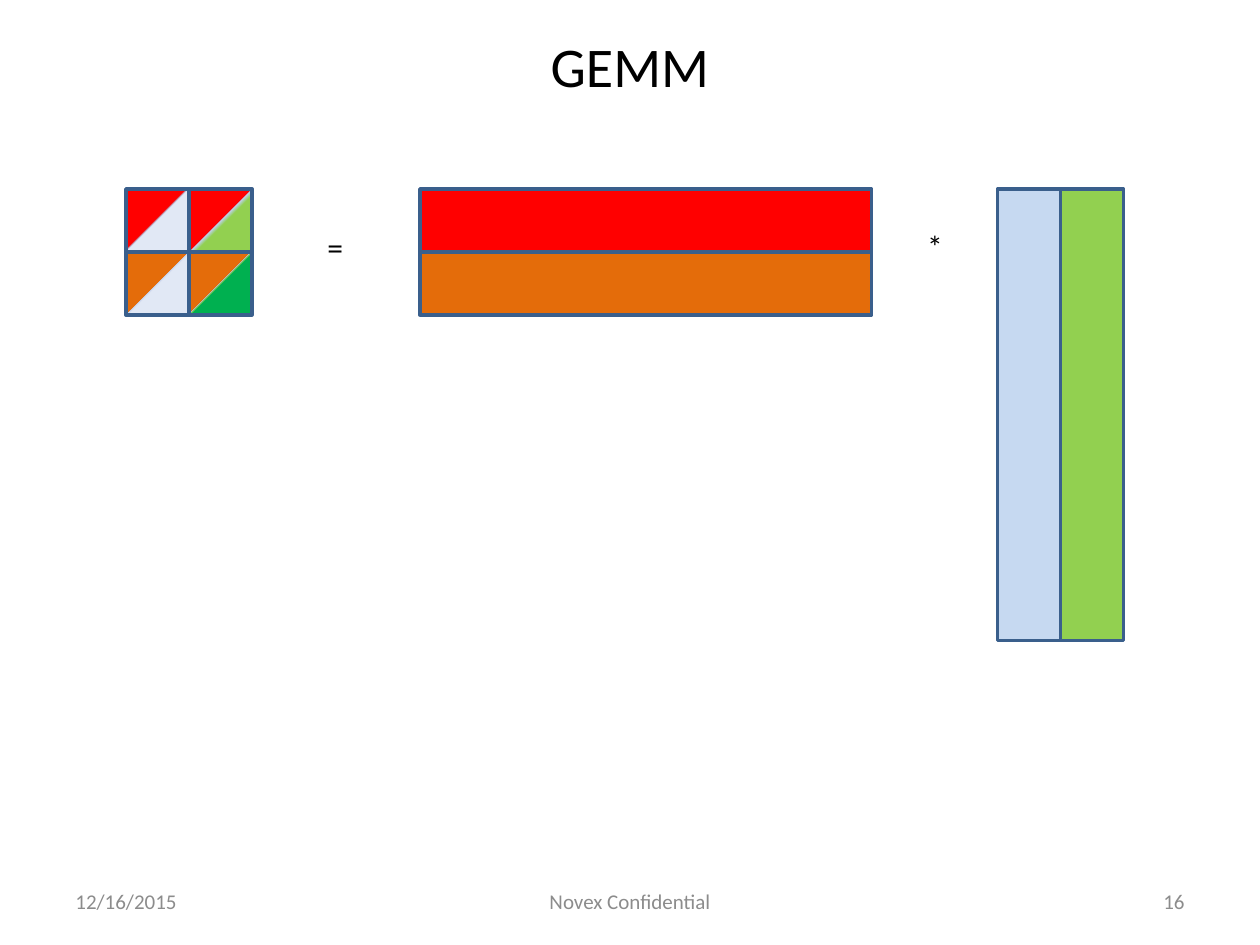
from lxml import etree
from pptx import Presentation
from pptx.dml.color import RGBColor
from pptx.enum.shapes import MSO_SHAPE as Preset
from pptx.enum.text import MSO_ANCHOR as Anchor, MSO_AUTO_SIZE as Fit, PP_ALIGN as Align
from pptx.oxml.ns import qn
from pptx.util import Pt

COLORS = {
    "red": "FF0000", "orange": "E46C0A", "lime": "92D050", "green": "00B050",
    "sky": "C6D9F1", "mist": "C2D1ED", "pale": "E1E8F5", "teal": "61C19F",
    "jade": "31B978", "outline": "3A5F8C", "ink": "000000", "grey": "8C8C8C",
}
CELL = 36
TOP = 108
RESULT_LEFT = 72
BAND_LEFT = 240
BAND_LENGTH = 258
COLUMN_LEFT = 570

RESULT_CELLS = [
    (0, 0, [(48, "red"), (50, "mist"), (50, "pale")]),
    (1, 0, [(50, "orange"), (50, "mist"), (52, "pale")]),
    (0, 1, [(50, "red"), (51, "mist"), (56, "lime")]),
    (1, 1, [(49, "orange"), (50, "mist"), (50, "teal"),
            (51, "lime"), (51, "jade"), (51, "green")]),
]
FOOTER = [
    ("12/16/2015", 36, 168, Align.LEFT),
    ("Novex Confidential", 246, 228, Align.CENTER),
    ("16", 516, 168, Align.RIGHT),
]


def rgb(name):
    return RGBColor.from_string(COLORS[name])


def apply(target, values):
    for name, value in values.items():
        setattr(target, name, value)


def add_label(slide, text, box, size, color="ink", align=Align.LEFT, **frame_values):
    frame = slide.shapes.add_textbox(*map(Pt, box)).text_frame
    apply(frame, {"word_wrap": True, "vertical_anchor": Anchor.MIDDLE, **frame_values})
    line = frame.paragraphs[0]
    line.alignment = align
    run = line.add_run()
    run.text = text
    apply(run.font, {"name": "Calibri", "size": Pt(size)})
    run.font.color.rgb = rgb(color)


def add_operator(slide, sign, left, top):
    add_label(slide, sign, (left, top, 24, 29), 18, word_wrap=False,
              vertical_anchor=Anchor.TOP, auto_size=Fit.SHAPE_TO_FIT_TEXT)


def add_block(slide, left, top, width, height, rotation=0):
    block = slide.shapes.add_shape(Preset.RECTANGLE, *map(Pt, (left, top, width, height)))
    block.shadow.inherit = False
    block.rotation = rotation
    block.line.color.rgb = rgb("outline")
    block.line.width = Pt(2)
    return block


def fill_solid(block, color):
    block.fill.solid()
    block.fill.fore_color.rgb = rgb(color)


def fill_split(block, stops):
    block.fill.gradient()
    block.fill.gradient_angle = 315
    stop_list = next(block.element.iter(qn("a:gsLst")))
    for old_stop in list(stop_list):
        stop_list.remove(old_stop)
    for percent, color in stops:
        stop = etree.SubElement(stop_list, qn("a:gs"), pos=str(percent * 1000))
        etree.SubElement(stop, qn("a:srgbClr"), val=COLORS[color])


def add_result(slide):
    for row, column, stops in RESULT_CELLS:
        cell = add_block(slide, RESULT_LEFT + column * CELL, TOP + row * CELL, CELL, CELL)
        fill_split(cell, stops)


def add_row_bands(slide):
    for row, color in enumerate(("red", "orange")):
        fill_solid(add_block(slide, BAND_LEFT, TOP + row * CELL, BAND_LENGTH, CELL), color)


def add_column_bands(slide):
    shift = (BAND_LENGTH - CELL) / 2
    for column, color in ((1, "lime"), (0, "sky")):
        left = COLUMN_LEFT + column * CELL - shift
        fill_solid(add_block(slide, left, TOP + shift, BAND_LENGTH, CELL, 90), color)


def main():
    deck = Presentation()
    apply(deck, {"slide_width": Pt(720), "slide_height": Pt(540)})
    slide = deck.slides.add_slide(deck.slide_layouts[6])
    add_label(slide, "GEMM", (36, 12, 648, 50.4), 32, align=Align.CENTER)
    for text, left, width, align in FOOTER:
        add_label(slide, text, (left, 500.5, width, 28.75), 12, "grey", align)
    add_result(slide)
    add_operator(slide, "=", 180, 126.7)
    add_row_bands(slide)
    add_operator(slide, "*", 522.7, 126)
    add_column_bands(slide)
    deck.save("out.pptx")


main()
